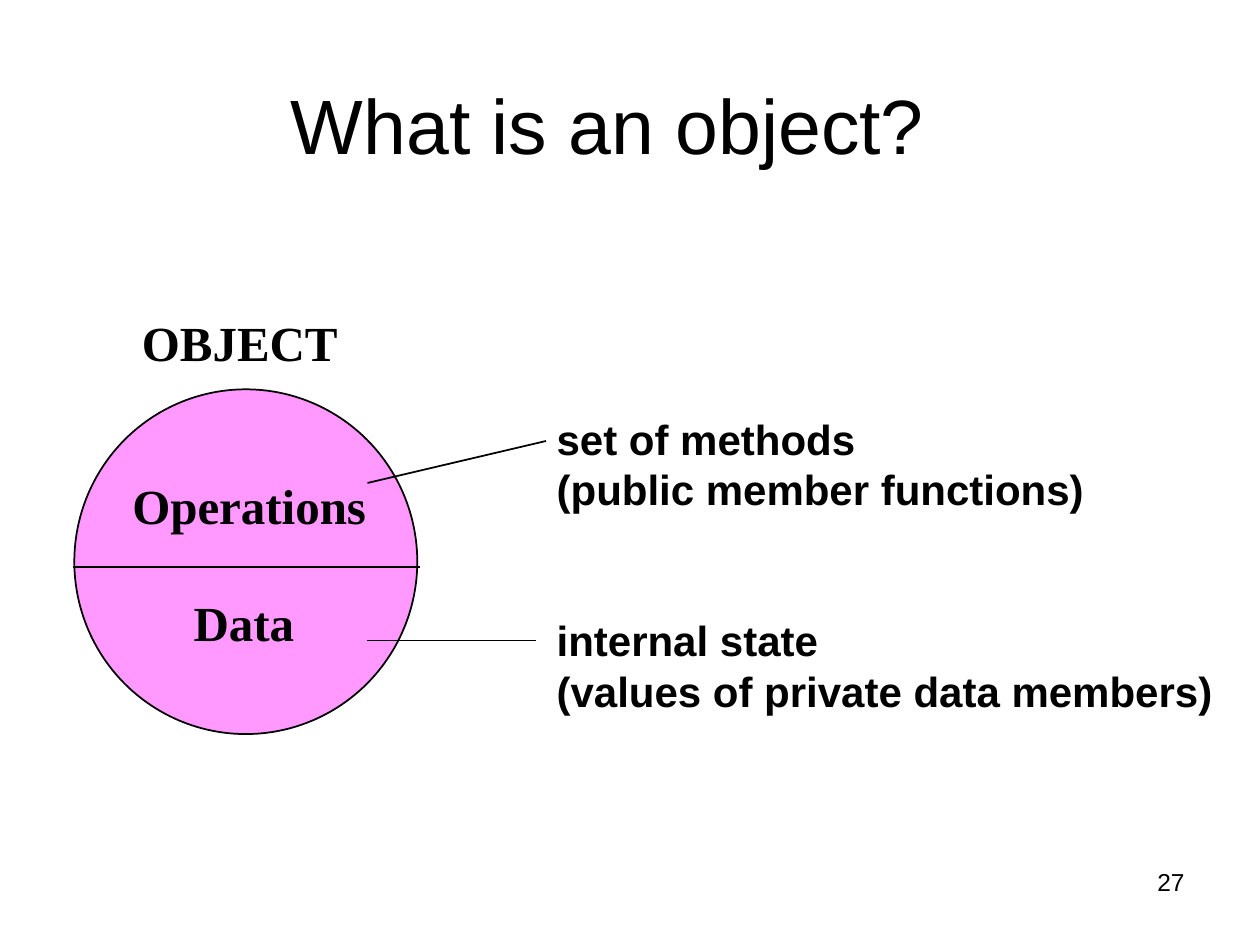
from lxml.etree import SubElement
from pptx import Presentation
from pptx.dml.color import RGBColor
from pptx.enum.shapes import MSO_CONNECTOR, MSO_SHAPE
from pptx.enum.text import MSO_ANCHOR as Anchor, MSO_AUTO_SIZE as AutoSize, PP_ALIGN as Align
from pptx.oxml.ns import qn
from pptx.util import Pt

COLORS = {"ink": "000000", "object": "FF99FF", "paper": "FFFFFF"}
LINE_HEIGHT = 1.2

TITLE = {"name": "Arial", "size": Pt(44), "bold": False}
PART = {"name": "Times New Roman", "size": Pt(28), "bold": True}
MEANING = {"name": "Arial", "size": Pt(24), "bold": True}
NUMBER = {"name": "Arial", "size": Pt(14), "bold": False}


def color(key):
    return RGBColor.from_string(COLORS[key])


def format_font(paragraph, style):
    for attribute, value in style.items():
        setattr(paragraph.font, attribute, value)
    paragraph.font.color.rgb = color("ink")


def outline(line):
    line.color.rgb = color("ink")
    line.width = Pt(1)


def add_title(slide, wording, box):
    title = slide.shapes.title
    title.left, title.top, title.width, title.height = map(Pt, box)
    frame = title.text_frame
    frame.text = wording
    frame.auto_size = AutoSize.NONE
    frame.vertical_anchor = Anchor.BOTTOM
    frame.paragraphs[0].alignment = Align.CENTER
    format_font(frame.paragraphs[0], TITLE)


def add_text(slide, lines, box, style, wrap=False, align=Align.LEFT):
    """Add lines given as (wording, blank lines' worth of space before, indent in points)."""
    frame = slide.shapes.add_textbox(*map(Pt, box)).text_frame
    frame.word_wrap = wrap
    pitch = style["size"].pt * LINE_HEIGHT
    for index, (wording, gap, indent) in enumerate(lines):
        paragraph = frame.paragraphs[0] if index == 0 else frame.add_paragraph()
        paragraph.text = wording
        paragraph.alignment = align
        paragraph.line_spacing = Pt(pitch)
        paragraph.space_before = Pt(gap * pitch)
        if indent:
            paragraph._p.get_or_add_pPr().set("marL", str(Pt(indent)))
        format_font(paragraph, style)


def add_circle(slide, box):
    circle = slide.shapes.add_shape(MSO_SHAPE.OVAL, *map(Pt, box))
    circle.shadow.inherit = False
    circle.fill.solid()
    circle.fill.fore_color.rgb = color("object")
    outline(circle.line)


def add_line(slide, start, end):
    line = slide.shapes.add_connector(MSO_CONNECTOR.STRAIGHT, *map(Pt, start + end))
    outline(line.line)
    SubElement(line._element.spPr, qn("a:effectLst"))


def main():
    deck = Presentation()
    deck.slide_width, deck.slide_height = Pt(720), Pt(540)
    slide = deck.slides.add_slide(deck.slide_layouts[5])
    slide.background.fill.solid()
    slide.background.fill.fore_color.rgb = color("paper")

    add_text(slide, [("27", 0, 0)], (516, 492, 168, 37.5), NUMBER, True, Align.RIGHT)
    add_title(slide, "What is an object? ", (1, 30, 705, 70.8))

    add_text(slide, [("OBJECT", 0, 0)], (74, 175, 127, 41), PART)
    add_circle(slide, (42.5, 222.5, 196, 197))
    add_text(slide, [("Operations", 0, 0), ("Data", 1, 35)], (68.5, 268, 148, 108), PART)

    meanings = [
        ("set of methods", 0, 0),
        ("(public member functions)", 0, 0),
        ("internal state", 2, 0),
        ("(values of private data members)", 0, 0),
    ]
    add_line(slide, (210, 276), (312, 252))
    add_text(slide, meanings, (311, 232.5, 389.5, 180), MEANING, True)
    add_line(slide, (210, 366), (306, 366))
    add_line(slide, (42, 324), (240, 324))

    deck.save("out.pptx")


if __name__ == "__main__":
    main()
